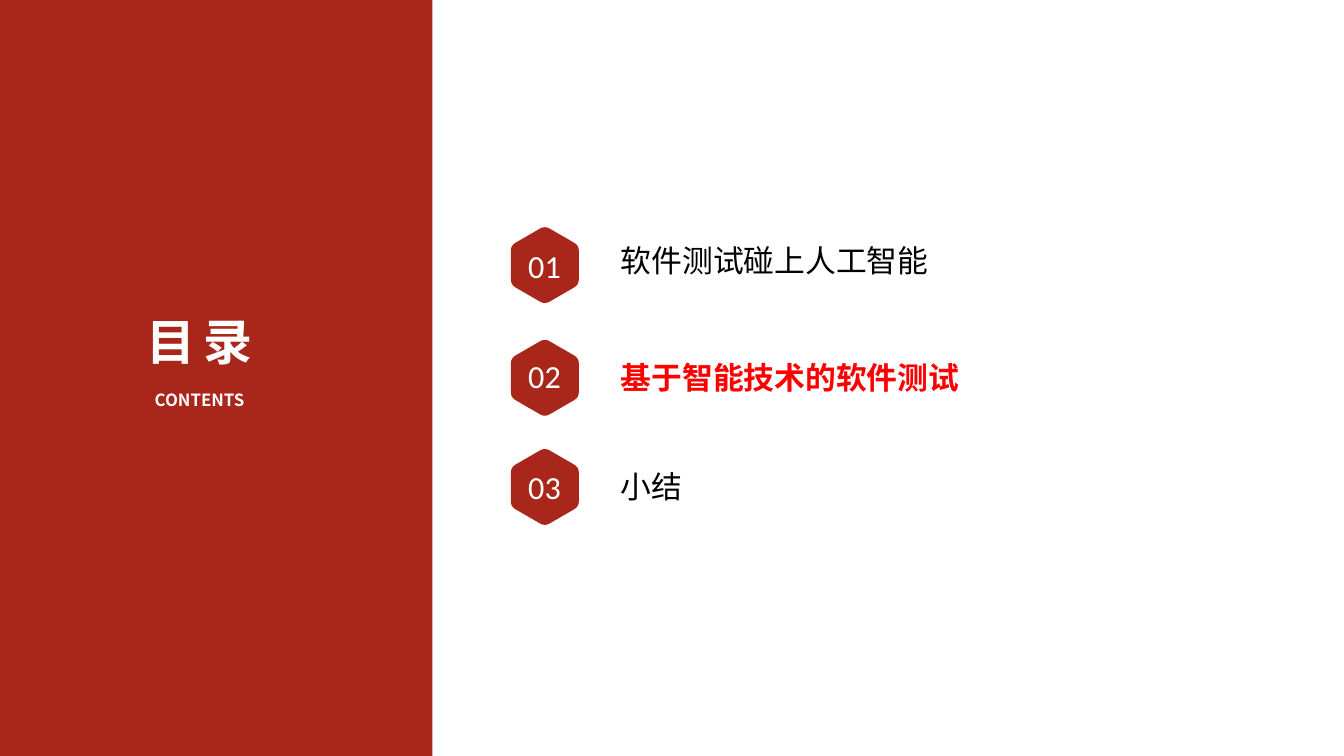
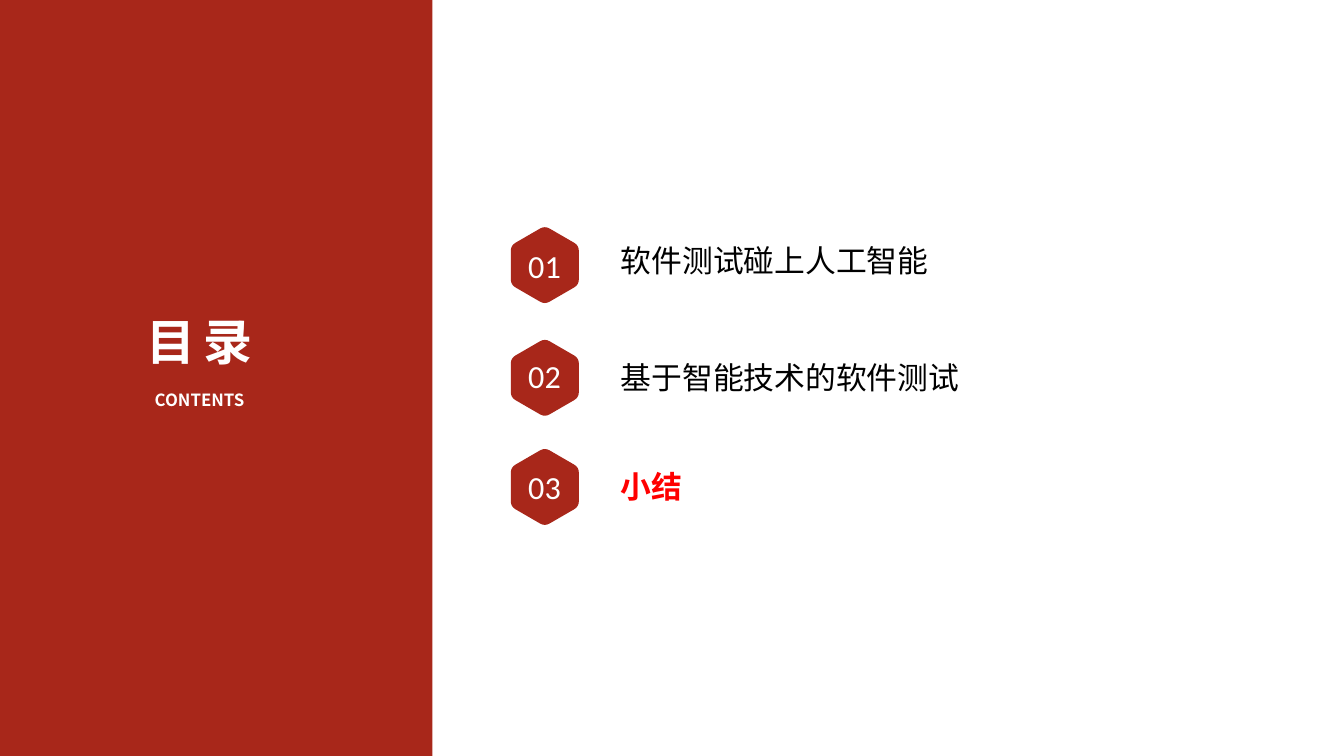
"""Build two contents slides, each highlighting its own chapter."""
import math

from lxml import etree
from pptx import Presentation
from pptx import util as u
from pptx.dml.color import RGBColor
from pptx.enum import shapes, text
from pptx.oxml.ns import qn

COLORS = {"brand": "A8271A", "white": "FFFFFF", "black": "000000", "highlight": "FF0000"}
CJK_FONT = "Noto Sans CJK SC"
CHAPTERS = ["软件测试碰上人工智能", "基于智能技术的软件测试", "小结"]
LABEL_TOPS = [6.02, 8.97, 11.71]
HEXAGON_CENTERS = [6.68, 9.52, 12.27]
HEXAGON_X, HEXAGON_RADIUS, CORNER_CUT = 13.73, 0.99, 0.14
NUMBER_TOP, NUMBER_STEP = 6.02, 2.78


def write(box, place, words, size, color, font=CJK_FONT, bold=False, centered=True,
          margins=(0.08, 0.08), anchor=text.MSO_ANCHOR.TOP, spacing=0):
    box.left, box.top, box.width, box.height = [u.Cm(length) for length in place]
    frame = box.text_frame
    frame.word_wrap = True
    frame.auto_size = text.MSO_AUTO_SIZE.NONE
    frame.vertical_anchor = anchor
    frame.margin_left = frame.margin_right = u.Cm(margins[0])
    frame.margin_top = frame.margin_bottom = u.Cm(margins[1])
    para = frame.paragraphs[0]
    para.text = words
    para.alignment = text.PP_ALIGN.CENTER if centered else text.PP_ALIGN.LEFT
    para.font.name = font
    para.font.size = u.Pt(size)
    para.font.bold = bold
    para.font.color.rgb = RGBColor.from_string(COLORS[color])
    properties = box.element.find(".//" + qn("a:defRPr"))
    properties.set("spc", str(spacing))
    etree.SubElement(properties, qn("a:ea")).set("typeface", CJK_FONT)


def paint(shape):
    shape.shadow.inherit = False
    shape.fill.solid()
    shape.fill.fore_color.rgb = RGBColor.from_string(COLORS["brand"])
    shape.line.fill.background()


corners = [(HEXAGON_RADIUS * math.sin(math.radians(60 * i)),
            -HEXAGON_RADIUS * math.cos(math.radians(60 * i))) for i in range(6)]
outline = []
for i, corner in enumerate(corners):
    before, after = [
        [c + CORNER_CUT * (n - c) for c, n in zip(corner, neighbour)]
        for neighbour in (corners[i - 1], corners[(i + 1) % 6])
    ]
    for t in (0, 0.25, 0.5, 0.75, 1):
        outline.append([(1 - t) ** 2 * b + 2 * t * (1 - t) * c + t ** 2 * a
                        for b, c, a in zip(before, corner, after)])

deck = Presentation()
deck.slide_width, deck.slide_height = u.Cm(33.87), u.Cm(19.05)

for current in (1, 2):
    page = deck.slides.add_slide(deck.slide_layouts[5])
    title = page.shapes.title
    panel = page.shapes.add_shape(
        shapes.MSO_SHAPE.RECTANGLE, 0, 0, u.Cm(10.9), deck.slide_height)
    paint(panel)
    title.element.addprevious(panel.element)

    write(title, (1.42, 7.72, 7.21, 3.61), "目录", 35, "white", font="Montserrat",
          bold=True, margins=(0.08, 0.13), spacing=580)
    subtitle = page.shapes.add_textbox(0, 0, 0, 0)
    write(subtitle, (2.39, 9.7, 5.28, 1.27), "CONTENTS", 12, "white", bold=True,
          margins=(0.08, 0.13))

    for i, chapter in enumerate(CHAPTERS):
        points = [(u.Cm(HEXAGON_X + x), u.Cm(HEXAGON_CENTERS[i] + y)) for x, y in outline]
        builder = page.shapes.build_freeform(*points[0])
        builder.add_line_segments(points[1:], close=True)
        paint(builder.convert_to_shape())

        number = page.shapes.add_textbox(0, 0, 0, 0)
        write(number, (12.62, NUMBER_TOP + i * NUMBER_STEP, 2.21, 1.35), f"{i + 1:02d}",
              23, "white", font="Calibri", anchor=text.MSO_ANCHOR.MIDDLE)

        active = i == current
        label = page.shapes.add_textbox(0, 0, 0, 0)
        write(label, (15.57, LABEL_TOPS[i], 9.5, 1), chapter, 22,
              "highlight" if active else "black", bold=active, centered=False)

deck.save("out.pptx")
